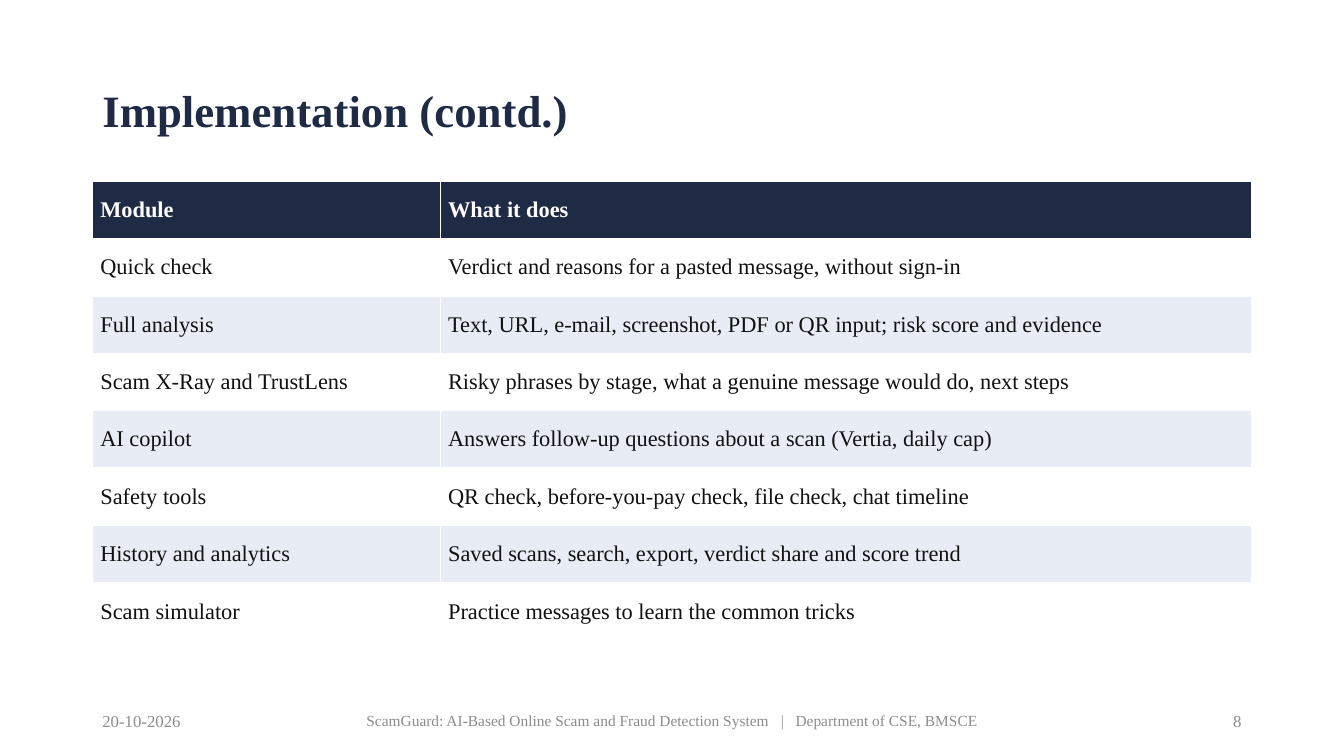
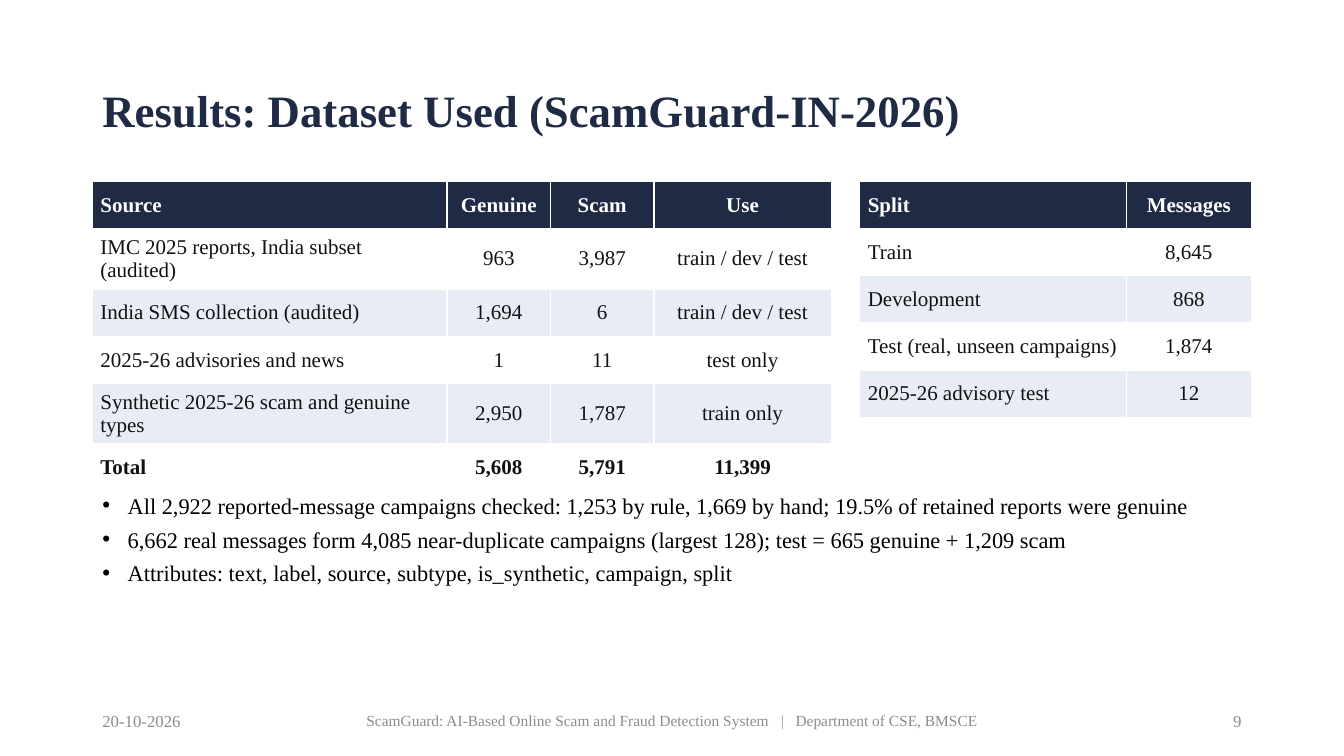
from dataclasses import dataclass

from pptx import Presentation
from pptx.dml.color import RGBColor
from pptx.enum.text import MSO_ANCHOR as Anchor, PP_ALIGN as Align
from pptx.oxml.ns import qn
from pptx.util import Cm, Pt
from lxml.etree import SubElement


@dataclass(frozen=True)
class Theme:
    font: str = "Times New Roman"
    bullet_font: str = "Arial"
    navy: str = "1F2A44"
    white: str = "FFFFFF"
    band: str = "E8EDF5"
    ink: str = "111111"
    black: str = "000000"
    grey: str = "8C8C8C"
    title: int = 32
    body: int = 16
    compact: int = 15
    footer: int = 12
    footer_name: int = 11


@dataclass(frozen=True)
class Box:
    """An area of the slide, in centimetres."""
    left: float
    top: float
    width: float
    height: float

    def lengths(self):
        return [Cm(v) for v in (self.left, self.top, self.width, self.height)]


THEME = Theme()
SLIDE_WIDTH, SLIDE_HEIGHT = 33.87, 19.05
MARGIN, CONTENT_WIDTH = 2.33, 29.21
CONTENT_TOP = 4.57
TITLE_BOX = Box(MARGIN, 1.02, CONTENT_WIDTH, 3.68)
FOOTER_BOX = Box(MARGIN, 17.65, CONTENT_WIDTH, 1.02)

DATE = "20-10-2026"
PROJECT = "ScamGuard: AI-Based Online Scam and Fraud Detection System"
DEPARTMENT = "Department of CSE, BMSCE"

MODULES = [
    ("Module", "What it does"),
    ("Quick check", "Verdict and reasons for a pasted message, without sign-in"),
    ("Full analysis", "Text, URL, e-mail, screenshot, PDF or QR input; risk score and evidence"),
    ("Scam X-Ray and TrustLens", "Risky phrases by stage, what a genuine message would do, next steps"),
    ("AI copilot", "Answers follow-up questions about a scan (Vertia, daily cap)"),
    ("Safety tools", "QR check, before-you-pay check, file check, chat timeline"),
    ("History and analytics", "Saved scans, search, export, verdict share and score trend"),
    ("Scam simulator", "Practice messages to learn the common tricks"),
]
SOURCES = [
    ("Source", "Genuine", "Scam", "Use"),
    ("IMC 2025 reports, India subset (audited)", "963", "3,987", "train / dev / test"),
    ("India SMS collection (audited)", "1,694", "6", "train / dev / test"),
    ("2025-26 advisories and news", "1", "11", "test only"),
    ("Synthetic 2025-26 scam and genuine types", "2,950", "1,787", "train only"),
    ("Total", "5,608", "5,791", "11,399"),
]
SPLITS = [
    ("Split", "Messages"),
    ("Train", "8,645"),
    ("Development", "868"),
    ("Test (real, unseen campaigns)", "1,874"),
    ("2025-26 advisory test", "12"),
]
FINDINGS = [
    "All 2,922 reported-message campaigns checked: 1,253 by rule, 1,669 by hand; "
    "19.5% of retained reports were genuine",
    "6,662 real messages form 4,085 near-duplicate campaigns (largest 128); "
    "test = 665 genuine + 1,209 scam",
    "Attributes: text, label, source, subtype, is_synthetic, campaign, split",
]


def add_run(paragraph, text, size, color, bold=False, tracking=0):
    run = paragraph.add_run()
    run.text = text
    run.font.name = THEME.font
    run.font.size = Pt(size)
    run.font.bold = bold
    run.font.color.rgb = RGBColor.from_string(color)
    if tracking:  # extra letter spacing, in points
        run.font._element.set("spc", str(round(tracking * 100)))


def add_frame(slide, box, anchor=Anchor.MIDDLE):
    frame = slide.shapes.add_textbox(*box.lengths()).text_frame
    frame.word_wrap = True
    frame.vertical_anchor = anchor
    return frame


def add_title(slide, box, text):
    heading = add_frame(slide, box).paragraphs[0]
    heading.line_spacing = 0.9
    add_run(heading, text, THEME.title, THEME.navy, bold=True)


def add_footer(slide, box, number):
    # Project name and department, around a widely spaced bar
    name_width, side_width = 18.9, 7.62
    name_left = box.left + (box.width - name_width) / 2
    name = add_frame(slide, Box(name_left, box.top, name_width, box.height)).paragraphs[0]
    name.alignment = Align.CENTER
    for text, tracking in ((PROJECT, 0), (" ", 5.5), ("|", 0), (" ", 5.5), (DEPARTMENT, 0)):
        add_run(name, text, THEME.footer_name, THEME.grey, tracking=tracking)

    # Date at the left edge, slide number at the right edge
    number_left = box.left + box.width - side_width
    for left, text, align in ((box.left, DATE, Align.LEFT),
                              (number_left, str(number), Align.RIGHT)):
        edge = add_frame(slide, Box(left, box.top, side_width, box.height)).paragraphs[0]
        edge.alignment = align
        add_run(edge, text, THEME.footer, THEME.grey)


def add_grid(slide, box, rows, shares, size, centred=False, total=False):
    """Table whose columns take the given shares of the box width."""
    table = slide.shapes.add_table(len(rows), len(shares), *box.lengths()).table
    for column, share in zip(table.columns, shares):
        column.width = Cm(box.width * share)
    for r, values in enumerate(rows):
        table.rows[r].height = Cm(box.height / len(rows))
        header = r == 0
        bold = header or (total and r == len(rows) - 1)
        fill = THEME.navy if header else THEME.white if r % 2 else THEME.band
        for c, value in enumerate(values):
            cell = table.cell(r, c)
            cell.margin_left = cell.margin_right = Cm(0.2)
            cell.vertical_anchor = Anchor.MIDDLE
            cell.fill.solid()
            cell.fill.fore_color.rgb = RGBColor.from_string(fill)
            entry = cell.text_frame.paragraphs[0]
            entry.alignment = Align.CENTER if centred and c else Align.LEFT
            add_run(entry, value, size, THEME.white if header else THEME.ink, bold)


def add_bullets(slide, box, items):
    frame = add_frame(slide, box, Anchor.TOP)
    for i, item in enumerate(items):
        point = frame.add_paragraph() if i else frame.paragraphs[0]
        properties = point._p.get_or_add_pPr()
        properties.set("marL", str(Cm(0.64)))
        properties.set("indent", str(-Cm(0.64)))
        SubElement(properties, qn("a:buFont")).set("typeface", THEME.bullet_font)
        SubElement(properties, qn("a:buChar")).set("char", "•")
        if i:
            point.space_before = Pt(5)
        add_run(point, item, THEME.body, THEME.black)


def add_page(deck, title, number):
    slide = deck.slides.add_slide(deck.slide_layouts[6])
    add_title(slide, TITLE_BOX, title)
    add_footer(slide, FOOTER_BOX, number)
    return slide


def build_modules(deck):
    slide = add_page(deck, "Implementation (contd.)", 8)
    add_grid(slide, Box(MARGIN, CONTENT_TOP, CONTENT_WIDTH, 11.56),
             MODULES, (0.3, 0.7), THEME.body)


def build_dataset(deck):
    slide = add_page(deck, "Results: Dataset Used (ScamGuard-IN-2026)", 9)
    row_height, sources_width, splits_width = 1.19, 18.62, 9.87
    splits_left = MARGIN + CONTENT_WIDTH - splits_width

    # Sources on the left, splits on the right
    add_grid(slide, Box(MARGIN, CONTENT_TOP, sources_width, row_height * len(SOURCES)),
             SOURCES, (0.48, 0.14, 0.14, 0.24), THEME.compact, centred=True, total=True)
    add_grid(slide, Box(splits_left, CONTENT_TOP, splits_width, row_height * len(SPLITS)),
             SPLITS, (0.68, 0.32), THEME.compact, centred=True)

    # Findings below the tables
    add_bullets(slide, Box(MARGIN, 12.27, CONTENT_WIDTH, 4.95), FINDINGS)


def main():
    deck = Presentation()
    deck.slide_width, deck.slide_height = Cm(SLIDE_WIDTH), Cm(SLIDE_HEIGHT)
    build_modules(deck)
    build_dataset(deck)
    deck.save("out.pptx")


if __name__ == "__main__":
    main()
